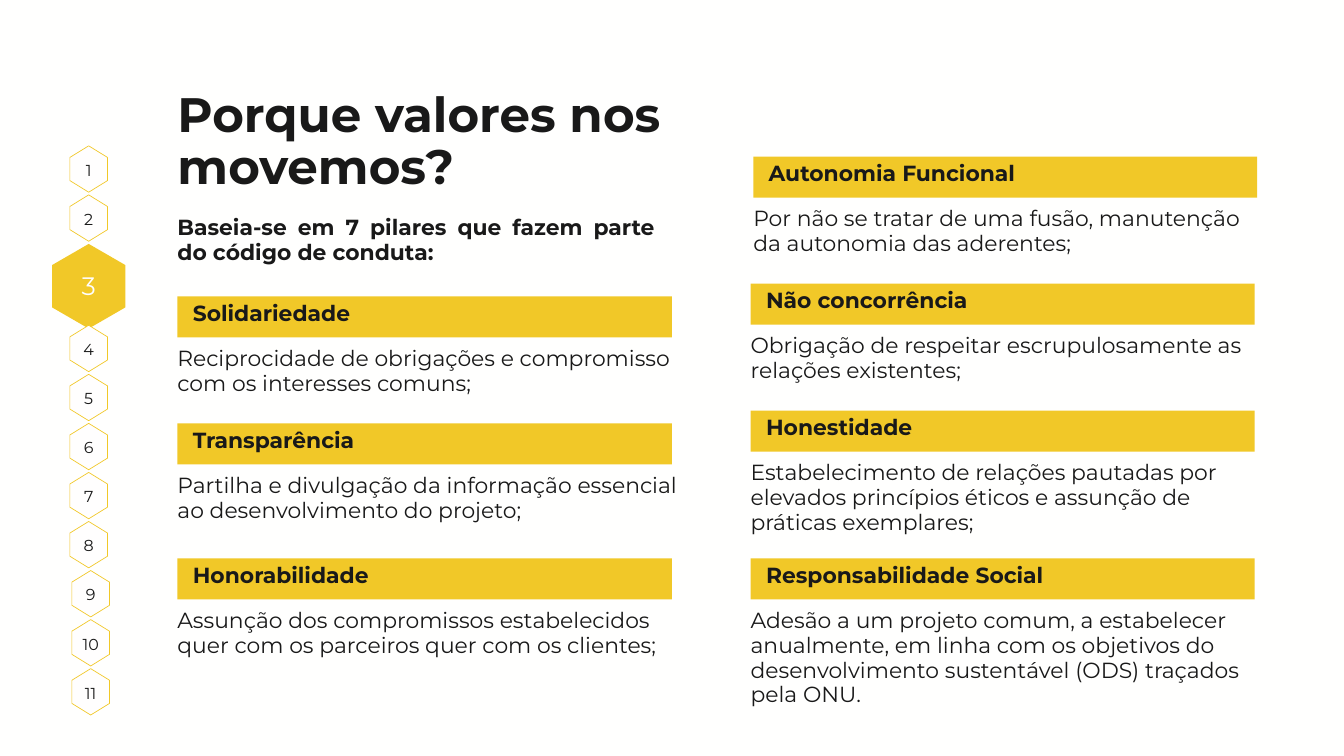
from pptx import Presentation
from pptx.dml.color import RGBColor
from pptx.enum.shapes import MSO_SHAPE
from pptx.enum.text import MSO_ANCHOR, PP_ALIGN
from pptx.util import Inches, Pt

RECT = MSO_SHAPE.RECTANGLE
TOP, MID = MSO_ANCHOR.TOP, MSO_ANCHOR.MIDDLE
LEFT, MIDDLE, JUST = PP_ALIGN.LEFT, PP_ALIGN.CENTER, PP_ALIGN.JUSTIFY

# Content
TITLE = "Porque valores nos movemos?"
INTRO = "Baseia-se em 7 pilares que fazem parte do código de conduta:"
# Left, top, bar width, heading, body, body lines
PILLARS = [
    (2.64, 4.41, 7.36, "Solidariedade",
     "Reciprocidade de obrigações e compromisso com os interesses comuns;", 2),
    (2.64, 6.3, 7.36, "Transparência",
     "Partilha e divulgação da informação essencial ao desenvolvimento do projeto;", 2),
    (2.64, 8.31, 7.36, "Honorabilidade",
     "Assunção dos compromissos estabelecidos quer com os parceiros quer com os clientes;", 2),
    (11.21, 2.33, 7.5, "Autonomia Funcional",
     "Por não se tratar de uma fusão, manutenção da autonomia das aderentes;", 2),
    (11.17, 4.22, 7.5, "Não concorrência",
     "Obrigação de respeitar escrupulosamente as relações existentes;", 2),
    (11.17, 6.11, 7.5, "Honestidade",
     "Estabelecimento de relações pautadas por elevados princípios éticos "
     "e assunção de práticas exemplares;", 3),
    (11.17, 8.31, 7.5, "Responsabilidade Social",
     "Adesão a um projeto comum, a estabelecer anualmente, em linha com os objetivos "
     "do desenvolvimento sustentável (ODS) traçados pela ONU.", 4),
]
STEPS, ACTIVE = 11, 3

# Theme: colours, and type as (size, line spacing) in points
THEME = {
    "font": "Montserrat",
    "back": RGBColor(0xFF, 0xFF, 0xFE),
    "gold": RGBColor(0xF1, 0xC8, 0x28),
    "ink": RGBColor(0x19, 0x19, 0x19),
    "pale": RGBColor(0xFF, 0xFE, 0xFE),
    "title": (51.8, 55.9),
    "body": (23.4, 26.5),
    "step": (17, 23.8),
    "active": (27, 37.8),
}


def write(shape, text, kind, color="ink", bold=False, align=LEFT,
          anchor=TOP, pad=(0, 0, 0, 0)):
    frame = shape.text_frame
    frame.word_wrap = True
    frame.vertical_anchor = anchor
    (frame.margin_left, frame.margin_top,
     frame.margin_right, frame.margin_bottom) = map(Inches, pad)
    size, lead = THEME[kind]
    para = frame.paragraphs[0]
    para.alignment = align
    para.line_spacing = Pt(lead)
    para.space_before = Pt(0)
    run = para.add_run()
    run.text = text
    run.font.name = THEME["font"]
    run.font.size = Pt(size)
    run.font.bold = bold
    run.font.color.rgb = THEME[color]


def paint(shape, fill, line=None):
    shape.shadow.inherit = False
    shape.fill.solid()
    shape.fill.fore_color.rgb = THEME[fill]
    if line:
        shape.line.color.rgb = THEME[line]
        shape.line.width = Pt(0.75)
    else:
        shape.line.fill.background()


def add_box(shapes, left, top, width, height):
    return shapes.add_textbox(*map(Inches, (left, top, width, height)))


def add_hex(shapes, left, top, width, height):
    """Hexagon standing on a point."""
    ratios = [(0.5, 0), (1, 0.25), (1, 0.75), (0.5, 1), (0, 0.75), (0, 0.25)]
    points = [(Inches(left + x * width), Inches(top + y * height))
              for x, y in ratios]
    form = shapes.build_freeform(*points[0])
    form.add_line_segments(points[1:], close=True)
    return form.convert_to_shape()


def main():
    deck = Presentation()
    deck.slide_width, deck.slide_height = Inches(20), Inches(11.25)
    slide = deck.slides.add_slide(deck.slide_layouts[5])
    slide.background.fill.solid()
    slide.background.fill.fore_color.rgb = THEME["back"]
    shapes = slide.shapes

    # Title and intro
    title = shapes.title
    title.left, title.top, title.width, title.height = map(
        Inches, (2.64, 1.34, 9.65, 1.57))
    write(title, TITLE, "title", bold=True)
    write(add_box(shapes, 2.64, 3.2, 7.1, 0.74), INTRO, "body",
          bold=True, align=JUST)

    # Pillars: gold heading bar with text below
    for left, top, width, head, body, lines in PILLARS:
        bar = shapes.add_shape(RECT, *map(Inches, (left, top, width, 0.61)))
        paint(bar, "gold")
        write(bar, head, "body", bold=True, pad=(0.23, 0.07, 0, 0))
        write(add_box(shapes, left, top + 0.74, 7.67, 0.37 * lines),
              body, "body")

    # Step column: the active step is larger, the last three sit further right
    top, gap = 2.17, 0.04
    for step in range(1, STEPS + 1):
        on = step == ACTIVE
        width, height = (1.09, 1.17) if on else (0.56, 0.69)
        mid = 1.35 if step > 8 else 1.32
        tall = 1.26 if on else height
        cell = add_hex(shapes, mid - width / 2, top, width, tall)
        paint(cell, "gold" if on else "pale", None if on else "gold")
        write(cell, str(step), "active" if on else "step",
              "pale" if on else "ink", align=MIDDLE, anchor=MID,
              pad=(0.06, 0.06, 0.06, 0.16 if on else 0.08))
        top += height + gap

    deck.save("out.pptx")


if __name__ == "__main__":
    main()
